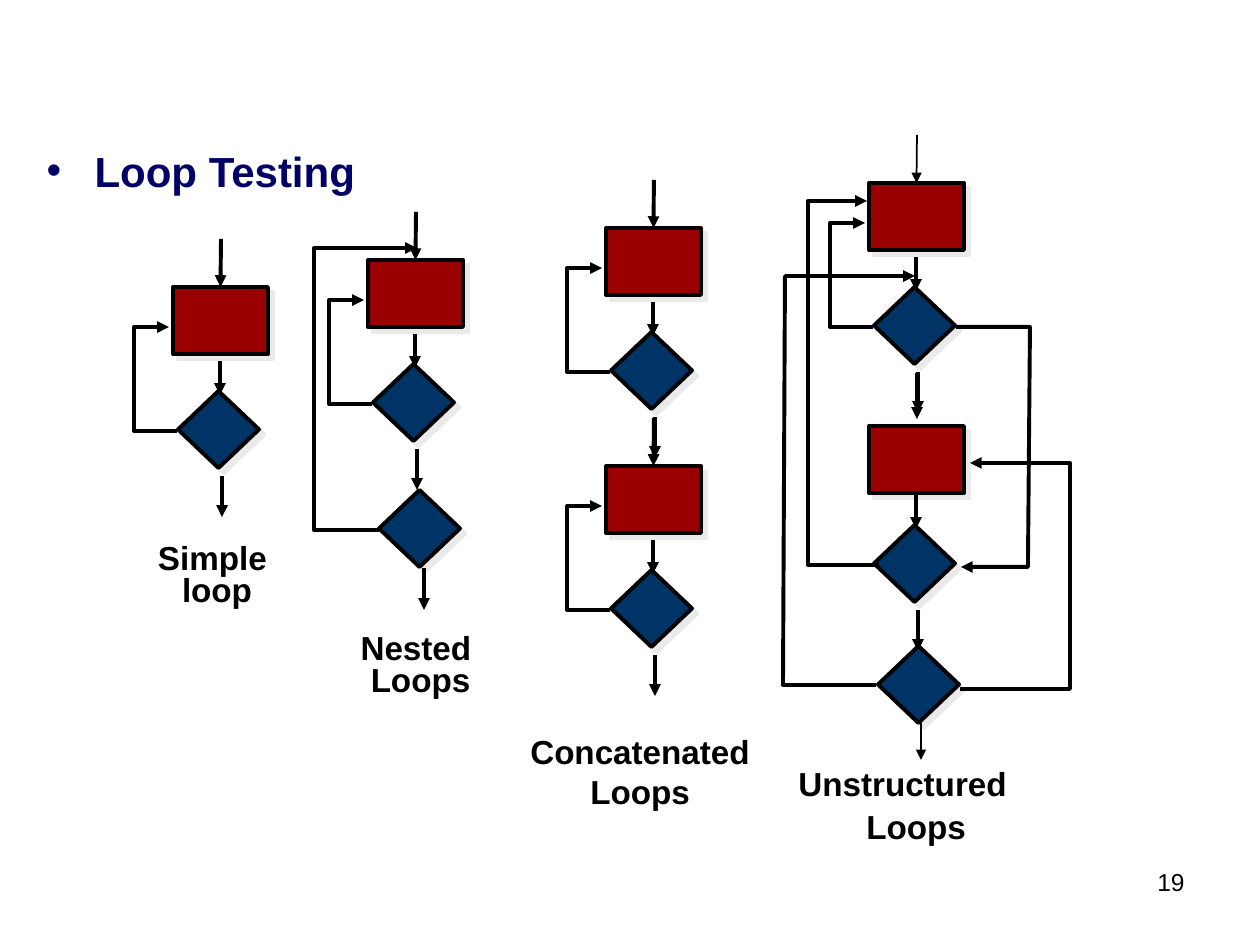
from dataclasses import dataclass

from lxml import etree
from pptx import Presentation
from pptx.dml.color import RGBColor
from pptx.enum import shapes, text
from pptx.oxml import ns
from pptx.util import Emu, Pt

PX = 914400 / 126  # EMU in one px


@dataclass(frozen=True)
class Theme:
    font: str = "Arial"
    heading: str = "000066"
    ink: str = "000000"
    process: str = "9A0000"
    decision: str = "003366"
    shadow: str = "EAEAEA"
    heading_size: int = 24
    label_size: int = 19
    number_size: int = 14
    line: float = 2.25
    thin_line: float = 1


THEME = Theme()


def px(length):
    return Emu(round(length * PX))


def add_xml(parent, tag, **attributes):
    return etree.SubElement(parent, ns.qn(tag), attributes)


# Text
def style(para, size, color=THEME.ink, bold=True):
    para.font.name = THEME.font
    para.font.size = Pt(size)
    para.font.bold = bold
    para.font.color.rgb = RGBColor.from_string(color)


def add_heading(page, wording):
    title = page.shapes.title
    title.left, title.top, title.width, title.height = map(px, (34, 139, 1134, 116))
    frame = title.text_frame
    frame.text = wording
    frame.auto_size = text.MSO_AUTO_SIZE.NONE
    frame.vertical_anchor = text.MSO_ANCHOR.TOP
    para = frame.paragraphs[0]
    para.alignment = text.PP_ALIGN.LEFT
    properties = para._p.get_or_add_pPr()
    properties.set("marL", str(px(48)))
    properties.set("indent", str(px(-48)))
    add_xml(properties, "a:buFont", typeface=THEME.font)
    add_xml(properties, "a:buChar", char="•")
    style(para, THEME.heading_size, THEME.heading)


def add_label(page, x, y, width, height, lines, align=text.PP_ALIGN.CENTER,
              spacing=1.0, size=THEME.label_size, bold=True):
    box = page.shapes.add_textbox(px(x), px(y), px(width), px(height))
    frame = box.text_frame
    frame.word_wrap = True
    frame.text = "\n".join(lines)
    for para in frame.paragraphs:
        para.alignment = align
        para.line_spacing = spacing
        style(para, size, bold=bold)


# Flowchart parts
def set_line(item, width=THEME.line):
    item.line.color.rgb = RGBColor.from_string(THEME.ink)
    item.line.width = Pt(width)


def add_arrowhead(item):
    line = item.element.spPr.find(ns.qn("a:ln"))
    add_xml(line, "a:tailEnd", type="triangle")


def add_node(page, preset, x, y, width, height, color):
    node = page.shapes.add_shape(preset, px(x), px(y), px(width), px(height))
    node.fill.solid()
    node.fill.fore_color.rgb = RGBColor.from_string(color)
    set_line(node)
    node.shadow.inherit = False
    effects = node.element.spPr.find(ns.qn("a:effectLst"))
    shadow = add_xml(effects, "a:outerShdw", dist=str(Pt(4.2)), dir="2700000",
                     algn="ctr", rotWithShape="0")
    add_xml(shadow, "a:srgbClr", val=THEME.shadow)
    return node


def add_process(page, x, y):
    return add_node(page, shapes.MSO_SHAPE.RECTANGLE, x, y, 95, 67, THEME.process)


def add_decision(page, x, y):
    return add_node(page, shapes.MSO_SHAPE.DIAMOND, x, y, 81, 77, THEME.decision)


def add_down_arrow(page, x, top, bottom, width=THEME.line):
    arrow = page.shapes.add_connector(
        shapes.MSO_CONNECTOR.STRAIGHT, px(x), px(top), px(x), px(bottom))
    set_line(arrow, width)
    add_arrowhead(arrow)
    add_xml(arrow.element.spPr, "a:effectLst")
    return arrow


def add_path(page, *points):
    builder = page.shapes.build_freeform(*points[0], scale=PX)
    builder.add_line_segments(points[1:], close=False)
    path = builder.convert_to_shape()
    path.fill.background()
    set_line(path)
    path.shadow.inherit = False
    add_arrowhead(path)


def add_loop(page, x, y, drop=0, entry_width=THEME.line, repeats=True):
    """Process and decision with their arrows; drop lowers the process alone."""
    process = add_process(page, x, y + drop)
    add_decision(page, x + 5, y + 104)
    entry = add_down_arrow(page, x + 48, y - 48, y - 2, entry_width)
    if not drop:
        entry.end_connect(process, 0)
    add_down_arrow(page, x + 47, y + 74, y + 108)
    add_down_arrow(page, x + 49, y + 189, y + 230)
    if repeats:
        add_path(page, (x + 4, y + 144), (x - 39, y + 144),
                 (x - 39, y + 40), (x - 4, y + 40))


# The four kinds of loop
def add_simple(page):
    add_loop(page, 173, 287)
    add_label(page, 145, 539, 144, 76, ["Simple ", "loop"], spacing=0.8)


def add_nested(page):
    add_loop(page, 368, 260)
    add_decision(page, 379, 490)
    add_down_arrow(page, 424, 568, 610)
    add_path(page, (379, 530), (314, 530), (314, 248), (417, 248))
    add_label(page, 348, 629, 145, 76, ["Nested ", "Loops"], spacing=0.8)


def add_concatenated(page):
    for y in (228, 466):
        add_loop(page, 606, y)
    add_label(page, 510, 725, 260, 92, ["Concatenated", "Loops"])


def add_unstructured(page):
    add_loop(page, 869, 183, entry_width=THEME.thin_line)
    add_loop(page, 869, 421, drop=5, repeats=False)
    add_decision(page, 878, 646)
    add_down_arrow(page, 921, 718, 760, THEME.thin_line)
    # Jumps back on the left, then jumps on the right
    add_path(page, (879, 565), (808, 565), (808, 201), (867, 201))
    add_path(page, (876, 685), (783, 685), (785, 276), (915, 276))
    add_path(page, (956, 327), (1030, 327), (1028, 567), (961, 567))
    add_path(page, (960, 689), (1070, 689), (1070, 463), (970, 463))
    add_label(page, 786, 757, 299, 52, ["Unstructured"], text.PP_ALIGN.LEFT)
    add_label(page, 854, 800, 140, 52, ["Loops"], text.PP_ALIGN.LEFT)


def main():
    deck = Presentation()
    deck.slide_width, deck.slide_height = px(1260), px(945)
    page = deck.slides.add_slide(deck.slide_layouts.get_by_name("Title Only"))
    add_heading(page, "Loop Testing")
    for add_diagram in (add_simple, add_nested, add_concatenated, add_unstructured):
        add_diagram(page)
    # Page number
    add_label(page, 937, 861, 260, 66, ["19"], text.PP_ALIGN.RIGHT,
              size=THEME.number_size, bold=False)
    deck.save("out.pptx")


if __name__ == "__main__":
    main()
